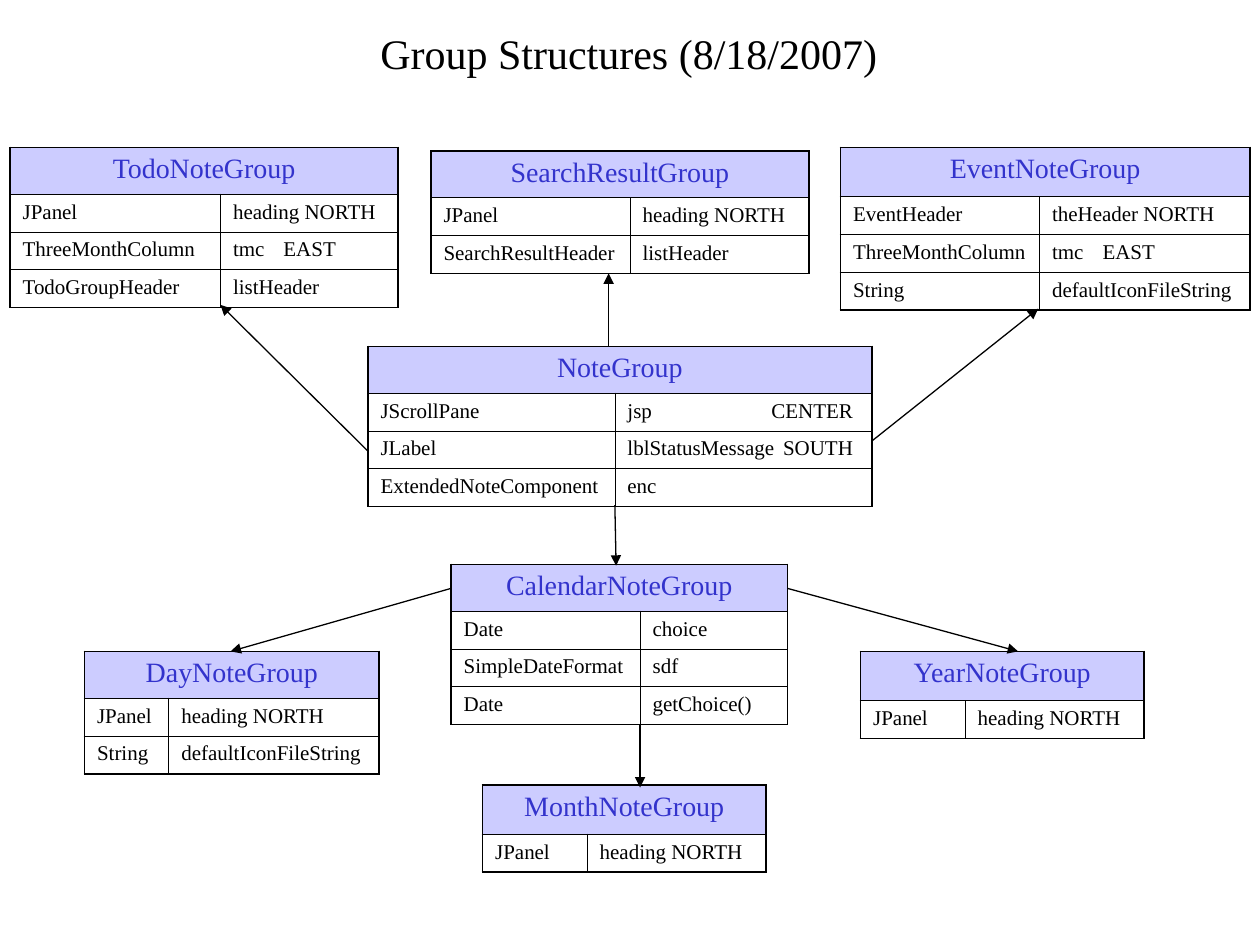
from dataclasses import dataclass
from typing import NamedTuple, Optional

from lxml import etree
from pptx import Presentation
from pptx.dml.color import RGBColor
from pptx.enum.shapes import MSO_CONNECTOR
from pptx.enum.text import PP_ALIGN
from pptx.oxml.ns import qn
from pptx.util import Inches, Pt

STRAIGHT = MSO_CONNECTOR.STRAIGHT
LEFT = PP_ALIGN.LEFT
CENTER = PP_ALIGN.CENTER
FONT = "Times New Roman"
BLACK = "000000"
HEADING_TEXT = "3333CC"
HEADING_FILL = "CCCCFF"
OUTER_LINE = 1.08
INNER_LINE = 0.45
MEMBER_HEIGHT = 0.3


class TabStop(NamedTuple):
    position: float
    alignment: str


class Member(NamedTuple):
    type_name: str
    field: str
    region_tab: Optional[TabStop] = None


@dataclass
class Group:
    name: str
    left: float
    top: float
    columns: tuple[float, float]
    members: list[Member]
    heading_height: float = 0.37


class Arrow(NamedTuple):
    start: tuple[float, float]
    end: tuple[float, float]


EAST_TAB = TabStop(0.4, "l")
EDGE_TAB = TabStop(1.79, "r")
HEADING_PANEL = Member("JPanel", "heading NORTH")

GROUPS = [
    Group("NoteGroup", 2.92, 2.75, (1.96, 2.04), [
        Member("JScrollPane", "jsp\tCENTER", EDGE_TAB),
        Member("JLabel", "lblStatusMessage\tSOUTH", EDGE_TAB),
        Member("ExtendedNoteComponent", "enc"),
    ]),
    Group("DayNoteGroup", 0.67, 5.17, (0.67, 1.67), [
        HEADING_PANEL,
        Member("String", "defaultIconFileString"),
    ]),
    Group("TodoNoteGroup", 0.08, 1.17, (1.67, 1.41), [
        HEADING_PANEL,
        Member("ThreeMonthColumn", "tmc\tEAST", EAST_TAB),
        Member("TodoGroupHeader", "listHeader"),
    ]),
    Group("EventNoteGroup", 6.67, 1.17, (1.58, 1.67), [
        Member("EventHeader", "theHeader NORTH"),
        Member("ThreeMonthColumn", "tmc\tEAST", EAST_TAB),
        Member("String", "defaultIconFileString"),
    ], 0.39),
    Group("CalendarNoteGroup", 3.58, 4.48, (1.5, 1.17), [
        Member("Date", "choice"),
        Member("SimpleDateFormat", "sdf"),
        Member("Date", "getChoice()"),
    ]),
    Group("SearchResultGroup", 3.42, 1.2, (1.58, 1.42), [
        HEADING_PANEL,
        Member("SearchResultHeader", "listHeader"),
    ]),
    Group("MonthNoteGroup", 3.83, 6.23, (0.83, 1.42), [HEADING_PANEL], 0.39),
    Group("YearNoteGroup", 6.83, 5.17, (0.83, 1.42), [HEADING_PANEL], 0.39),
]

ARROWS = [
    Arrow((2.92, 3.58), (1.75, 2.42)),
    Arrow((5.08, 5.75), (5.08, 6.25)),
    Arrow((3.58, 4.67), (1.83, 5.17)),
    Arrow((6.25, 4.67), (8.08, 5.17)),
    Arrow((4.88, 4.01), (4.89, 4.49)),
    Arrow((4.83, 2.75), (4.83, 2.17)),
    Arrow((6.92, 3.5), (8.24, 2.45)),
]


def color(value: str) -> RGBColor:
    return RGBColor.from_string(value)


def write(text_frame, text: str, size: float, ink: str, alignment=LEFT,
          tab: Optional[TabStop] = None) -> None:
    text_frame.text = text
    paragraph = text_frame.paragraphs[0]
    paragraph.alignment = alignment
    if tab:
        tabs = etree.SubElement(paragraph._p.get_or_add_pPr(), qn("a:tabLst"))
        etree.SubElement(tabs, qn("a:tab"), pos=str(Inches(tab.position)),
                         algn=tab.alignment)
    for run in paragraph.runs:
        run.font.name = FONT
        run.font.size = Pt(size)
        run.font.color.rgb = color(ink)


def add_borders(cell, outer_sides: set[str]) -> None:
    properties = cell._tc.get_or_add_tcPr()
    for side in "LRTB":
        width = OUTER_LINE if side in outer_sides else INNER_LINE
        line = etree.SubElement(properties, qn(f"a:ln{side}"), w=str(Pt(width)))
        fill = etree.SubElement(line, qn("a:solidFill"))
        etree.SubElement(fill, qn("a:srgbClr"), val=BLACK)


def add_group(slide, group: Group) -> None:
    heights = [group.heading_height] + [MEMBER_HEIGHT] * len(group.members)
    table = slide.shapes.add_table(
        len(heights), 2, Inches(group.left), Inches(group.top),
        Inches(sum(group.columns)), Inches(sum(heights))).table
    table.first_row = False
    table.horz_banding = False
    for column, width in zip(table.columns, group.columns):
        column.width = Inches(width)
    for index, (row, height) in enumerate(zip(table.rows, heights)):
        row.height = Inches(height)
        for cell, side in zip(row.cells, "LR"):
            outer_sides = {side}
            if index == 0:
                outer_sides = {"L", "R", "T"}
            elif index == len(group.members):
                outer_sides.add("B")
            add_borders(cell, outer_sides)
            cell.fill.background()

    heading = table.cell(0, 0)
    heading.merge(table.cell(0, 1))
    heading.fill.solid()
    heading.fill.fore_color.rgb = color(HEADING_FILL)
    write(heading.text_frame, group.name, 16, HEADING_TEXT, CENTER)
    for index, member in enumerate(group.members, start=1):
        write(table.cell(index, 0).text_frame, member.type_name, 12, BLACK)
        write(table.cell(index, 1).text_frame, member.field, 12, BLACK,
              tab=member.region_tab)


def add_arrow(slide, arrow: Arrow) -> None:
    connector = slide.shapes.add_connector(
        STRAIGHT, *(Inches(value) for value in arrow.start + arrow.end))
    connector.line.color.rgb = color(BLACK)
    connector.line.width = Pt(0.75)
    etree.SubElement(connector.line._get_or_add_ln(), qn("a:tailEnd"),
                     type="triangle")
    etree.SubElement(connector._element.spPr, qn("a:effectLst"))


def main() -> None:
    presentation = Presentation()
    presentation.slide_width = Inches(10)
    presentation.slide_height = Inches(7.5)
    slide = presentation.slides.add_slide(presentation.slide_layouts[6])

    title = slide.shapes.add_textbox(
        Inches(2.92), Inches(0.17), Inches(4.17), Inches(0.5))
    title.text_frame.word_wrap = True
    write(title.text_frame, "Group Structures (8/18/2007)", 24, BLACK)
    for group in GROUPS:
        add_group(slide, group)
    for arrow in ARROWS:
        add_arrow(slide, arrow)
    presentation.save("out.pptx")


if __name__ == "__main__":
    main()
